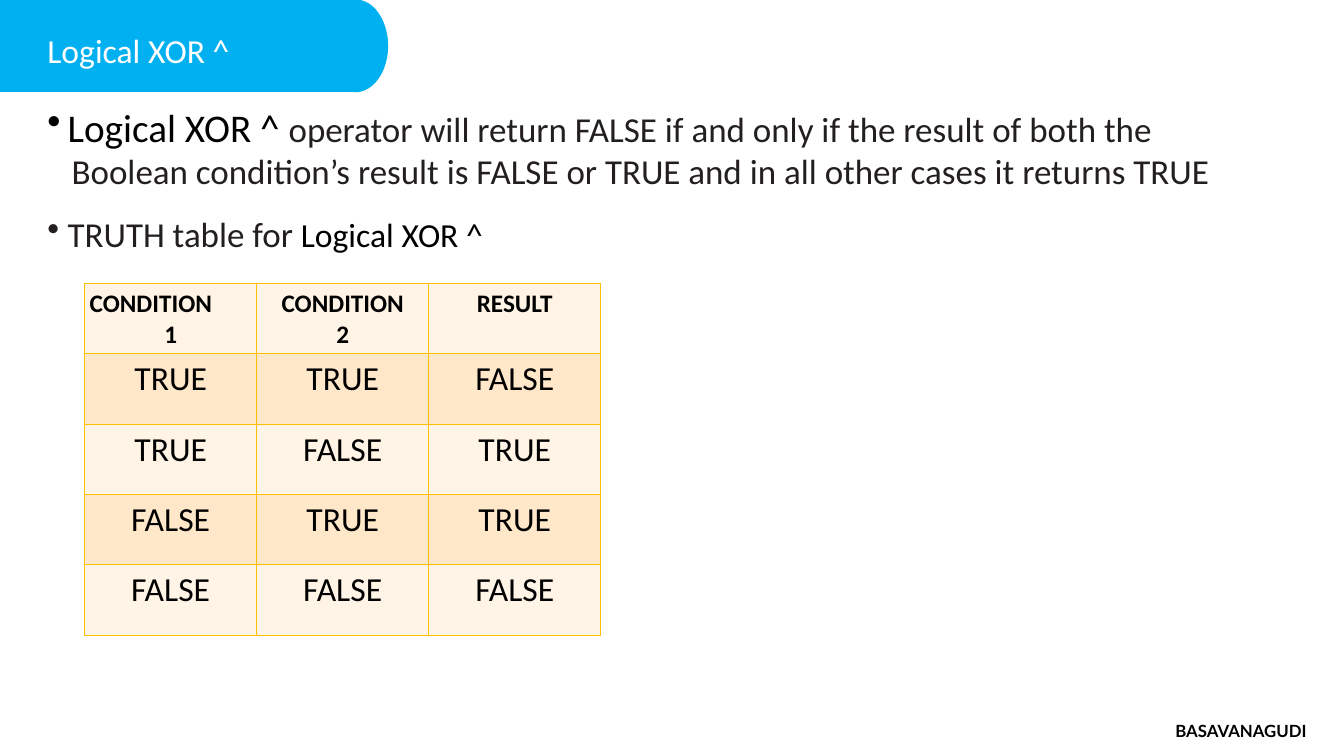
"""Build the slide that explains the logical XOR operator with its truth table."""
import itertools

import pptx
import pptx.dml.color
import pptx.enum.shapes
import pptx.enum.text
import pptx.oxml
import pptx.oxml.ns
import pptx.util

WIDTH, HEIGHT = pptx.util.Inches(13.33), pptx.util.Inches(7.5)
LEFT = pptx.enum.text.PP_ALIGN.LEFT
CENTER = pptx.enum.text.PP_ALIGN.CENTER
SHAPES = pptx.enum.shapes.MSO_SHAPE
BLUE, GOLD, BLACK, CHARCOAL, WHITE = "00B0F0", "FFC000", "000000", "231F20", "FFFFFF"
BANDS = ("FFF4E6", "FFE8CA")
MARGIN = 3.53

OPERATOR = {"size": 24, "color": BLACK}
OPERATOR_LARGE = {"size": 28, "color": BLACK}
STATEMENT = {"size": 25, "color": CHARCOAL}
HEADING = {"size": 24, "color": WHITE}
FOOTER = {"size": 12, "color": BLACK, "bold": True, "name": "Lato"}
TABLE_HEAD = {"size": 18, "color": BLACK, "bold": True}
TABLE_VALUE = {"size": 24, "color": BLACK, "bold": False}


def color(value):
    """Turn a hex string into a colour."""
    return pptx.dml.color.RGBColor.from_string(value)


def area(left, top, width, height):
    """Turn percentages of the slide into left, top, width and height."""
    return [round(share * side / 100) for share, side in
            zip((left, top, width, height), (WIDTH, HEIGHT, WIDTH, HEIGHT))]


def assign(target, values):
    """Set each named attribute on the target."""
    for name, value in values.items():
        setattr(target, name, value)


def add_span(para, text, look):
    """Append one formatted run to a paragraph."""
    span = para.add_run()
    span.text = text
    font = {"name": "Calibri", **look, "size": pptx.util.Pt(look["size"])}
    span.font.color.rgb = color(font.pop("color"))
    assign(span.font, font)


def indent(para, margin, bullet=False):
    """Indent a paragraph by inches, with a hanging bullet if asked."""
    props = para._p.get_or_add_pPr()
    props.set("marL", str(pptx.util.Inches(margin)))
    props.set("indent", str(-pptx.util.Inches(margin) if bullet else 0))
    if bullet:
        mark = pptx.oxml.parse_xml(
            f'<a:buChar {pptx.oxml.ns.nsdecls("a")} char="•"/>')
        props.append(mark)


def fill_frame(frame, paragraphs, inset=0):
    """Write paragraphs, each a dict of spans, align, margin and bullet."""
    sides = ("margin_left", "margin_top", "margin_right", "margin_bottom")
    assign(frame, {"word_wrap": True,
                   **dict.fromkeys(sides, pptx.util.Inches(inset))})
    for index, content in enumerate(paragraphs):
        para = frame.add_paragraph() if index else frame.paragraphs[0]
        para.alignment = content.get("align", LEFT)
        indent(para, content.get("margin", 0), content.get("bullet", False))
        for text, look in content["spans"]:
            add_span(para, text, look)


def add_text(page, place, paragraphs, inset=0):
    """Add a text box that holds the paragraphs."""
    box = page.shapes.add_textbox(*area(*place))
    fill_frame(box.text_frame, paragraphs, inset)


def add_block(page, kind, place):
    """Add a blue preset shape for the banner."""
    block = page.shapes.add_shape(kind, *area(*place))
    block.shadow.inherit = False
    block.fill.solid()
    block.fill.fore_color.rgb = color(BLUE)
    block.line.color.rgb = color(BLUE)
    block.line.width = pptx.util.Pt(0.75)


def style_cell(cell, fill):
    """Give a cell thin gold borders and a solid fill."""
    props = cell._tc.get_or_add_tcPr()
    for side in ("lnL", "lnR", "lnT", "lnB"):
        props.append(pptx.oxml.parse_xml(
            f'<a:{side} {pptx.oxml.ns.nsdecls("a")} w="{pptx.util.Pt(1)}">'
            f'<a:solidFill><a:srgbClr val="{GOLD}"/></a:solidFill></a:{side}>'))
    cell.fill.solid()
    cell.fill.fore_color.rgb = color(fill)


def add_truth_table(page, place):
    """Add the table with every pair of conditions and its XOR result."""
    pairs = itertools.product((True, False), repeat=2)
    rows = [(["CONDITION", "1"], ["CONDITION", "2"], ["RESULT"])]
    rows += [[[str(value).upper()] for value in (first, second, first ^ second)]
             for first, second in pairs]
    frame = page.shapes.add_table(len(rows), len(rows[0]), *area(*place))
    table = frame.table
    for row, texts in enumerate(rows):
        for column, lines in enumerate(texts):
            cell = table.cell(row, column)
            look = TABLE_VALUE if row else TABLE_HEAD
            paragraphs = [{"align": CENTER, "spans": [(line, look)]}
                          for line in lines]
            if row == column == 0:
                paragraphs[0]["align"] = LEFT
            fill_frame(cell.text_frame, paragraphs)
            sides = ("margin_left", "margin_top", "margin_right", "margin_bottom")
            assign(cell, dict.fromkeys(sides, pptx.util.Inches(0.05)))
            style_cell(cell, BANDS[row % 2])


def main():
    """Build and save the slide."""
    deck = pptx.Presentation()
    assign(deck, {"slide_width": WIDTH, "slide_height": HEIGHT})
    page = deck.slides.add_slide(deck.slide_layouts[6])
    add_block(page, SHAPES.RECTANGLE, (0, 0, 26.5, 12.13))
    add_block(page, SHAPES.OVAL, (24.08, 0, 4.76, 12.13))
    add_text(page, (MARGIN, 13.6, 93.02, 12.27), [
        {"margin": 0.2, "bullet": True, "spans": [
            ("Logical XOR ^ ", OPERATOR_LARGE),
            ("operator will return FALSE if and only if the result of both the",
             STATEMENT)]},
        {"margin": 0.24, "spans": [
            ("Boolean condition’s result is FALSE or TRUE and in all other "
             "cases it returns TRUE", STATEMENT)]}])
    add_text(page, (MARGIN, 4, 28.88, 5.33),
             [{"spans": [("Logical XOR ^", HEADING)]}])
    add_text(page, (84.92, 94.93, 14.85, 3.47),
             [{"align": CENTER, "spans": [("BASAVANAGUDI", FOOTER)]}], 0.03)
    add_text(page, (MARGIN, 28.13, 84.85, 5.73), [
        {"margin": 0.2, "bullet": True, "spans": [
            ("TRUTH table for ", STATEMENT), ("Logical XOR ^", OPERATOR)]}])
    add_truth_table(page, (6.3, 37.47, 38.41, 46.53))
    deck.save("out.pptx")


if __name__ == "__main__":
    main()
